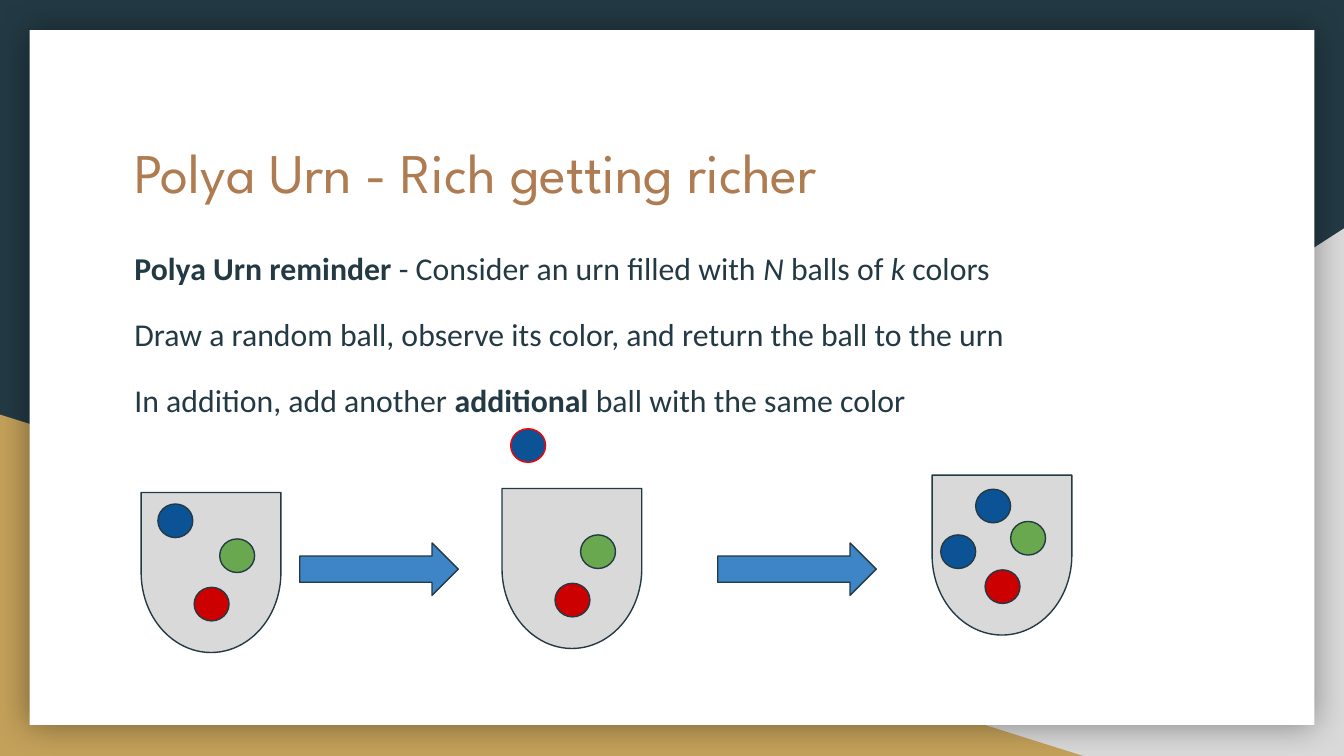
from lxml.etree import SubElement
from pptx import Presentation
from pptx.dml.color import RGBColor
from pptx.enum.shapes import MSO_SHAPE as Shape
from pptx.enum.text import MSO_ANCHOR as Anchor, MSO_AUTO_SIZE as AutoSize, PP_ALIGN as Align
from pptx.oxml.ns import qn
from pptx.util import Pt

PX = 4572  # 200 px to the inch
COLORS = {
    "navy": "233A44", "gray": "D9D9D9", "gold": "C4A15A", "white": "FFFFFF",
    "bronze": "AF7B51", "blue": "0B5394", "red": "CC0000", "green": "6AA84F",
    "arrow": "3D85C6", "drawn": "FF0000", "shadow": "000000",
}


def rgb(color):
    return RGBColor.from_string(COLORS[color])


def add_part(kind, left, top, width, height, fill, line=None):
    part = slide.shapes.add_shape(kind, left * PX, top * PX, width * PX, height * PX)
    part.shadow.inherit = False
    part.fill.solid()
    part.fill.fore_color.rgb = rgb(fill)
    if line:
        part.line.color.rgb = rgb(line)
        part.line.width = Pt(0.75)
    else:
        part.line.fill.background()
    return part


deck = Presentation()
deck.slide_width, deck.slide_height = 2000 * PX, 1125 * PX
slide = deck.slides.add_slide(deck.slide_layouts[1])
slide.background.fill.solid()
slide.background.fill.fore_color.rgb = rgb("navy")

# Backdrop: two corner triangles and a white card with a soft shadow
right_corner = add_part(Shape.RIGHT_TRIANGLE, 784, 340, 1216, 785, "gray")
right_corner._element.spPr.find(qn("a:xfrm")).set("flipH", "1")
add_part(Shape.RIGHT_TRIANGLE, 0, 617, 1612, 508, "gold")
card = add_part(Shape.RECTANGLE, 44, 45, 1912, 1034, "white")
effects = card._element.spPr.find(qn("a:effectLst"))
glow = SubElement(effects, qn("a:outerShdw"), blurRad=str(Pt(18)), dist="0",
                  dir="0", algn="ctr", rotWithShape="0")
glow_color = SubElement(glow, qn("a:srgbClr"), val=COLORS["shadow"])
SubElement(glow_color, qn("a:alpha"), val="40000")

# Title and body placeholders, brought in front of the card
title, body = slide.placeholders
for holder, top, height in ((title, 184, 208), (body, 342, 628)):
    slide.shapes._spTree.append(holder._element)
    holder.left, holder.top = 180 * PX, top * PX
    holder.width, holder.height = 1642 * PX, height * PX
    frame_format = {
        "margin_left": 20 * PX, "margin_right": 20 * PX,
        "margin_top": 20 * PX, "margin_bottom": 20 * PX,
        "vertical_anchor": Anchor.TOP, "word_wrap": True, "auto_size": AutoSize.NONE,
    }
    for name, value in frame_format.items():
        setattr(holder.text_frame, name, value)

heading = title.text_frame.paragraphs[0]
heading.text = "Polya Urn - Rich getting richer"
heading.alignment = Align.LEFT
heading.font.name, heading.font.size = "League Spartan", Pt(30)
heading.font.color.rgb = rgb("bronze")

# Each step is a list of (text, style) pieces
steps = [
    [("Polya Urn reminder ", "bold"), ("- Consider an urn filled with ", None),
     ("N ", "italic"), ("balls of ", None), ("k", "italic"), (" colors", None)],
    [("Draw a random ball, observe its color, and return the ball to the urn", None)],
    [("In addition, add another ", None), ("additional", "bold"),
     (" ball with the same color", None)],
]
for i, pieces in enumerate(steps):
    step = body.text_frame.paragraphs[0] if i == 0 else body.text_frame.add_paragraph()
    step_format = {
        "alignment": Align.LEFT, "line_spacing": 1.15,
        "space_before": Pt(12 if i else 0),
        "space_after": Pt(12 if i == len(steps) - 1 else 0),
    }
    for name, value in step_format.items():
        setattr(step, name, value)
    props = step._p.get_or_add_pPr()
    props.set("marL", "0")
    props.set("indent", "0")
    SubElement(props, qn("a:buNone"))
    for text, style in pieces:
        run = step.add_run()
        run.text = text
        run.font.name, run.font.size = "Calibri", Pt(17)
        run.font.color.rgb = rgb("navy")
        if style:
            setattr(run.font, style, True)

# Urns with their balls, placed relative to the urn; red and green stay put
urns = [
    (195, 748, [(40, 2, "navy")]),
    (732, 742, [(28, -104, "drawn")]),
    (1372, 722, [(80, 6, "navy"), (28, 74, "navy")]),
]
for left, top, blue_balls in urns:
    urn = add_part(Shape.FLOWCHART_DELAY, left, top, 238, 208, "gray", "navy")
    urn.rotation = 90
    balls = [(x, y, "blue", outline) for x, y, outline in blue_balls]
    balls += [(94, 126, "red", "navy"), (132, 54, "green", "navy")]
    for x, y, fill, outline in balls:
        add_part(Shape.OVAL, left + x, top + y, 52, 50, fill, outline)

# Arrows between the urns
for left in (446, 1068):
    add_part(Shape.RIGHT_ARROW, left, 808, 236, 78, "arrow", "navy")

deck.save("out.pptx")
